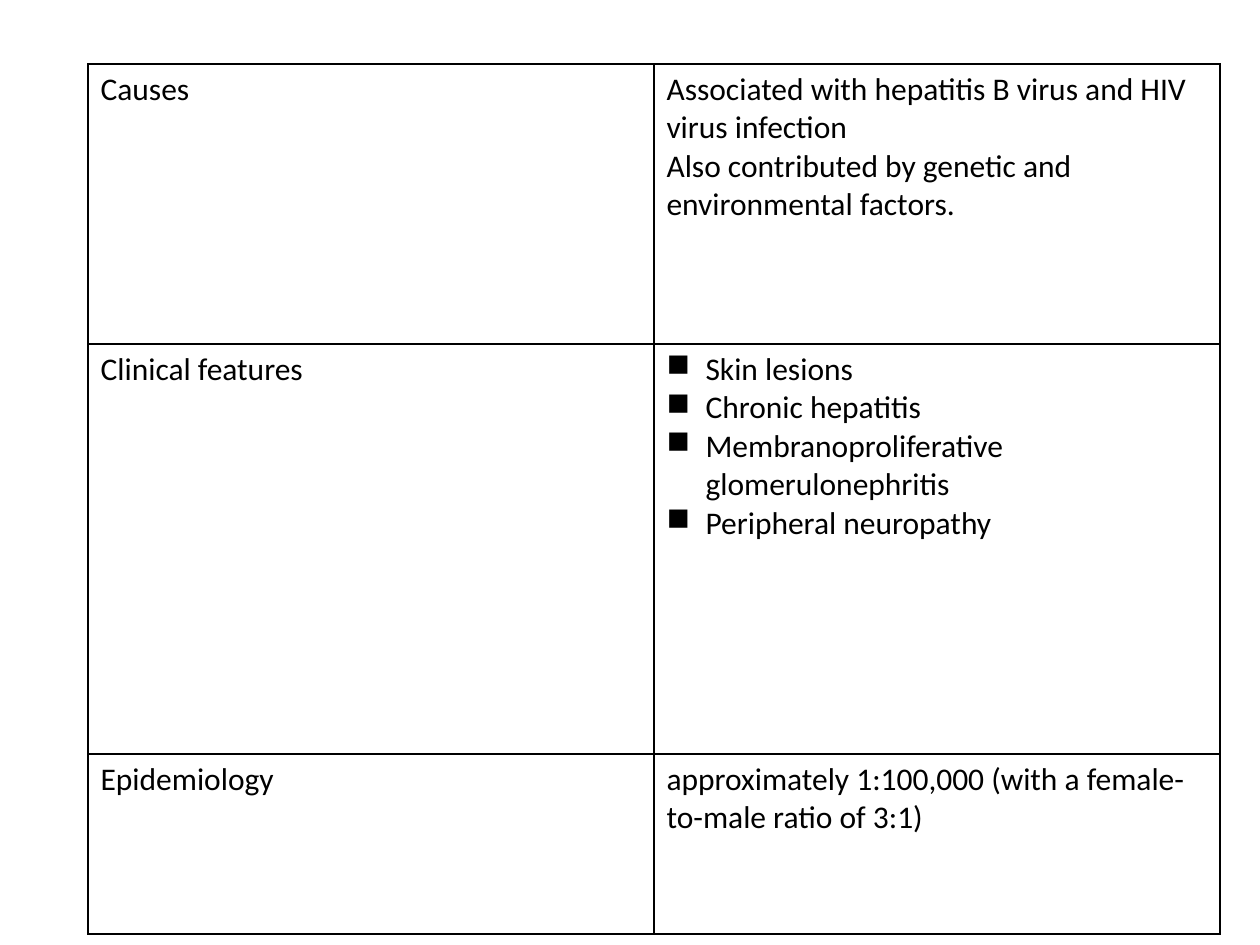
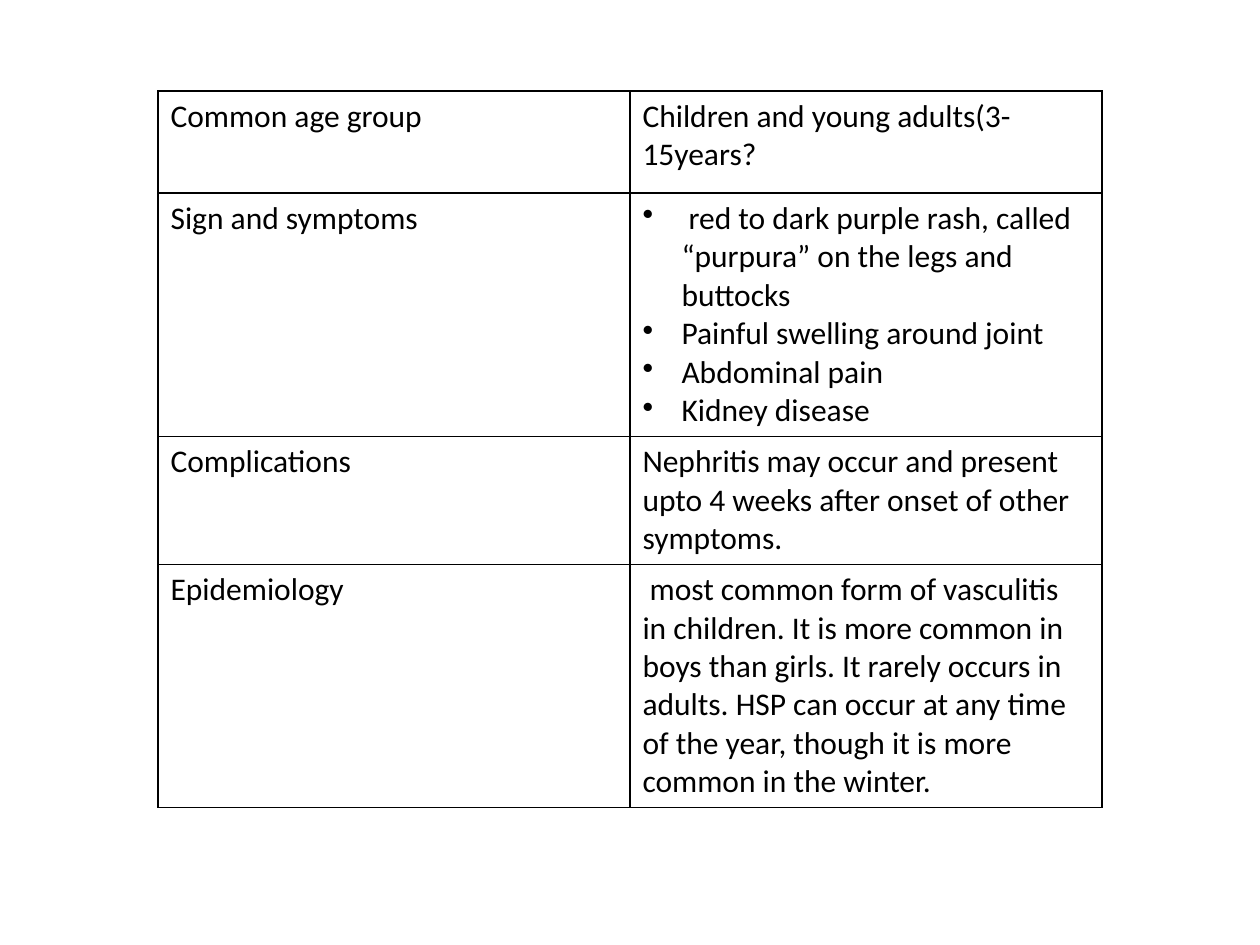
"""Build two slides of vasculitis facts, each laid out as a ruled two-column table."""
from dataclasses import dataclass

from lxml import etree
from pptx import Presentation
from pptx import util as u
from pptx.dml import color
from pptx.oxml import ns

COLORS = {"text": "000000", "rule": "000000"}
FONT = "Calibri"
FONT_SIZE = u.Pt(18)
RULE_WIDTH = u.Pt(1)
PX_PER_INCH = 126
BULLET_INDENT = 39
BLANK_LAYOUT = 6


@dataclass(frozen=True)
class Row:
    label: str
    details: tuple[str, ...]
    height: int
    bullet: str = ""


@dataclass(frozen=True)
class FactTable:
    left: int
    top: int
    col_width: int
    rows: tuple[Row, ...]


TABLES = (
    FactTable(88, 64, 566, (
        Row("Causes", (
            "Associated with hepatitis B virus and HIV virus infection",
            "Also contributed by genetic and environmental factors.",
        ), 280),
        Row("Clinical features", (
            "Skin lesions",
            "Chronic hepatitis",
            "Membranoproliferative glomerulonephritis",
            "Peripheral neuropathy",
        ), 410, "■"),
        Row("Epidemiology", (
            "approximately 1:100,000 (with a female-to-male ratio of 3:1)",
        ), 180),
    )),
    FactTable(158, 91, 472, (
        Row("Common age group", ("Children and young adults(3-15years?",), 102),
        Row("Sign and symptoms", (
            " red to dark purple rash, called “purpura” on the legs and buttocks",
            "Painful swelling around joint",
            "Abdominal pain",
            "Kidney disease",
        ), 102, "•"),
        Row("Complications", (
            "Nephritis may occur and present upto 4 weeks after onset of other symptoms.",
        ), 102),
        Row("Epidemiology", (
            " most common form of vasculitis in children. It is more common in boys "
            "than girls. It rarely occurs in adults. HSP can occur at any time of the "
            "year, though it is more common in the winter.",
        ), 102),
    )),
)


def px(n: int) -> u.Emu:
    """Turn pixels into EMU."""
    return u.Emu(round(n * u.Inches(1) / PX_PER_INCH))


def add_bullet(p, char: str) -> None:
    """Give a paragraph a hanging bullet."""
    pPr = p._p.get_or_add_pPr()
    pPr.set("marL", str(px(BULLET_INDENT)))
    pPr.set("indent", str(-px(BULLET_INDENT)))
    etree.SubElement(pPr, ns.qn("a:buChar"), char=char)


def rule_cell(cell) -> None:
    """Draw a thin rule on all four sides of a cell and clear its fill."""
    tcPr = cell._tc.get_or_add_tcPr()
    for side in ("lnL", "lnR", "lnT", "lnB"):
        ln = etree.SubElement(tcPr, ns.qn(f"a:{side}"), w=str(RULE_WIDTH))
        fill = etree.SubElement(ln, ns.qn("a:solidFill"))
        etree.SubElement(fill, ns.qn("a:srgbClr"), val=COLORS["rule"])
    cell.fill.background()


def fill_cell(cell, lines: tuple[str, ...], bullet: str = "") -> None:
    """Write one paragraph per line into a ruled cell."""
    rule_cell(cell)
    tf = cell.text_frame
    for i, line in enumerate(lines):
        p = tf.add_paragraph() if i else tf.paragraphs[0]
        if bullet:
            add_bullet(p, bullet)
        r = p.add_run()
        r.text = line
        r.font.name = FONT
        r.font.size = FONT_SIZE
        r.font.color.rgb = color.RGBColor.from_string(COLORS["text"])


def draw_table(s, facts: FactTable) -> None:
    """Add a fact table to a slide."""
    height = sum(row.height for row in facts.rows)
    table = s.shapes.add_table(len(facts.rows), 2, px(facts.left), px(facts.top),
                               px(2 * facts.col_width), px(height)).table
    table.first_row = table.horz_banding = False
    for col in table.columns:
        col.width = px(facts.col_width)
    for i, row in enumerate(facts.rows):
        table.rows[i].height = px(row.height)
        fill_cell(table.cell(i, 0), (row.label,))
        fill_cell(table.cell(i, 1), row.details, row.bullet)


def main() -> None:
    """Build and save the presentation."""
    prs = Presentation()
    prs.slide_width, prs.slide_height = px(1260), px(945)
    for facts in TABLES:
        draw_table(prs.slides.add_slide(prs.slide_layouts[BLANK_LAYOUT]), facts)
    prs.save("out.pptx")


if __name__ == "__main__":
    main()
